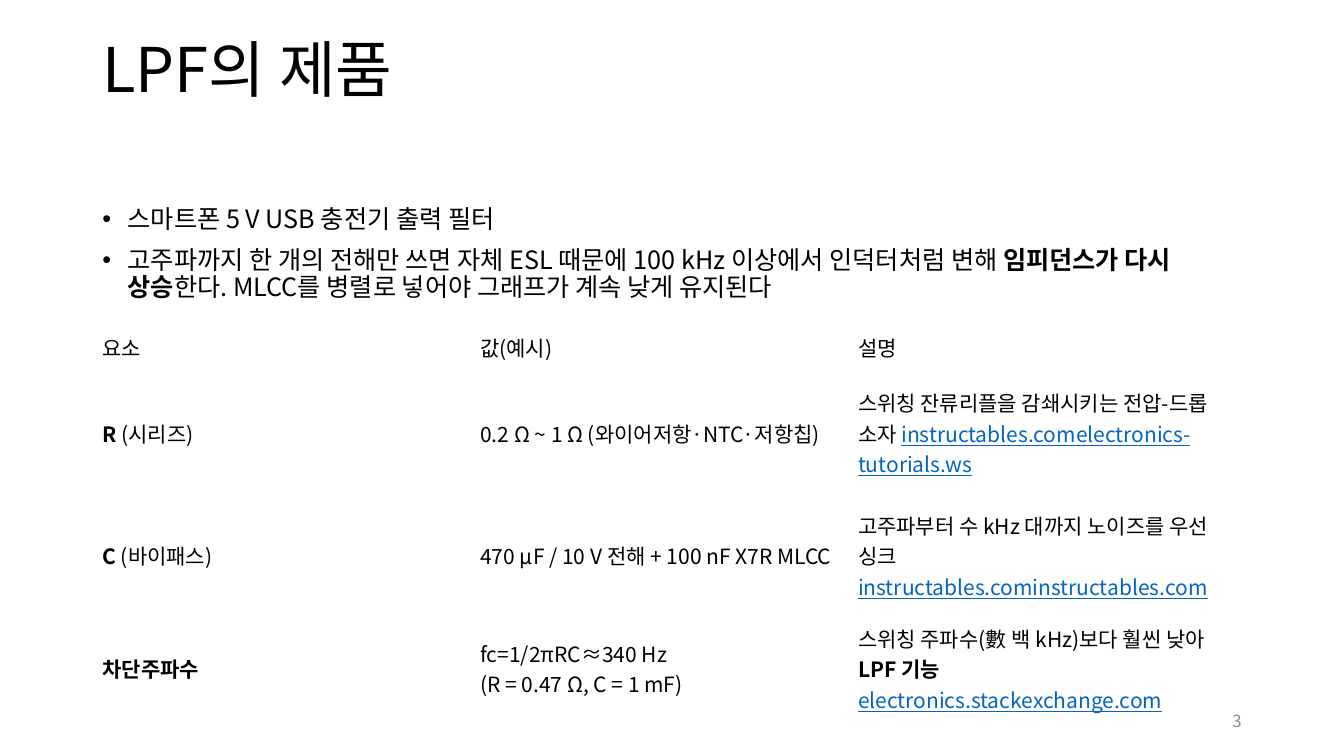
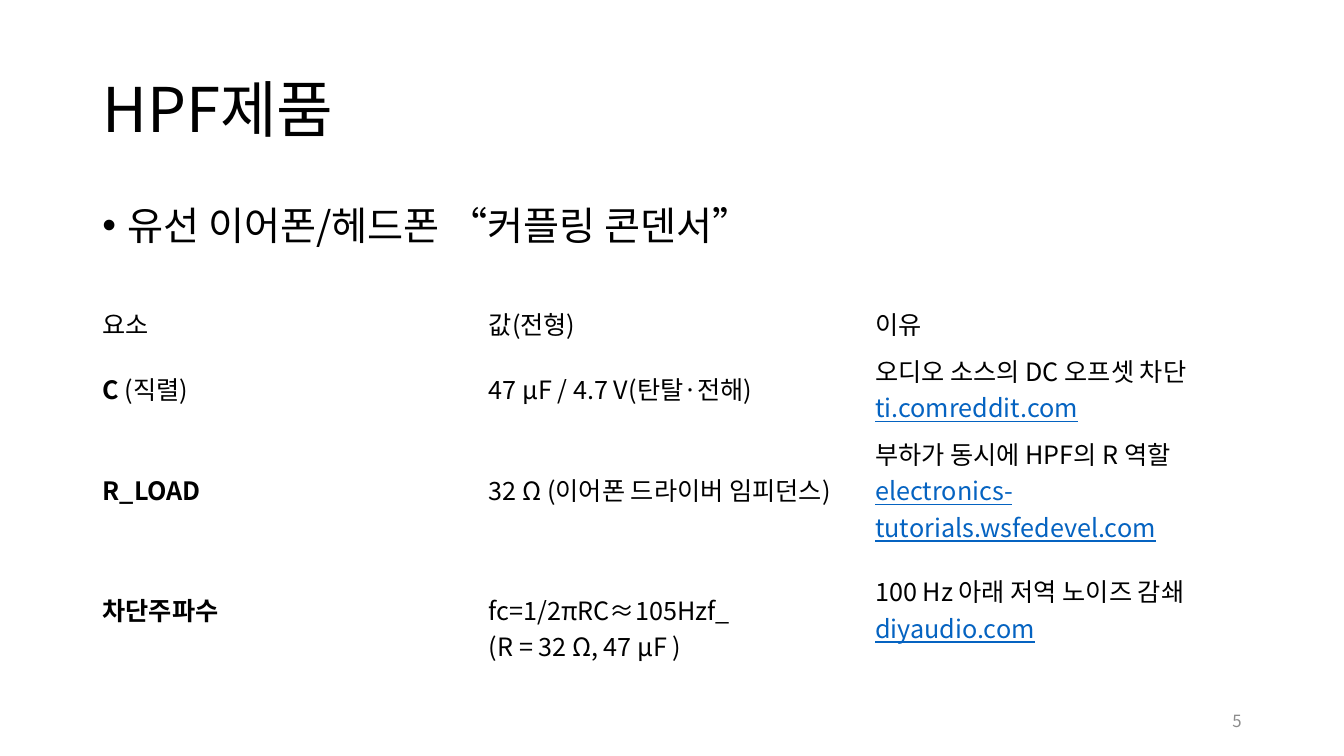
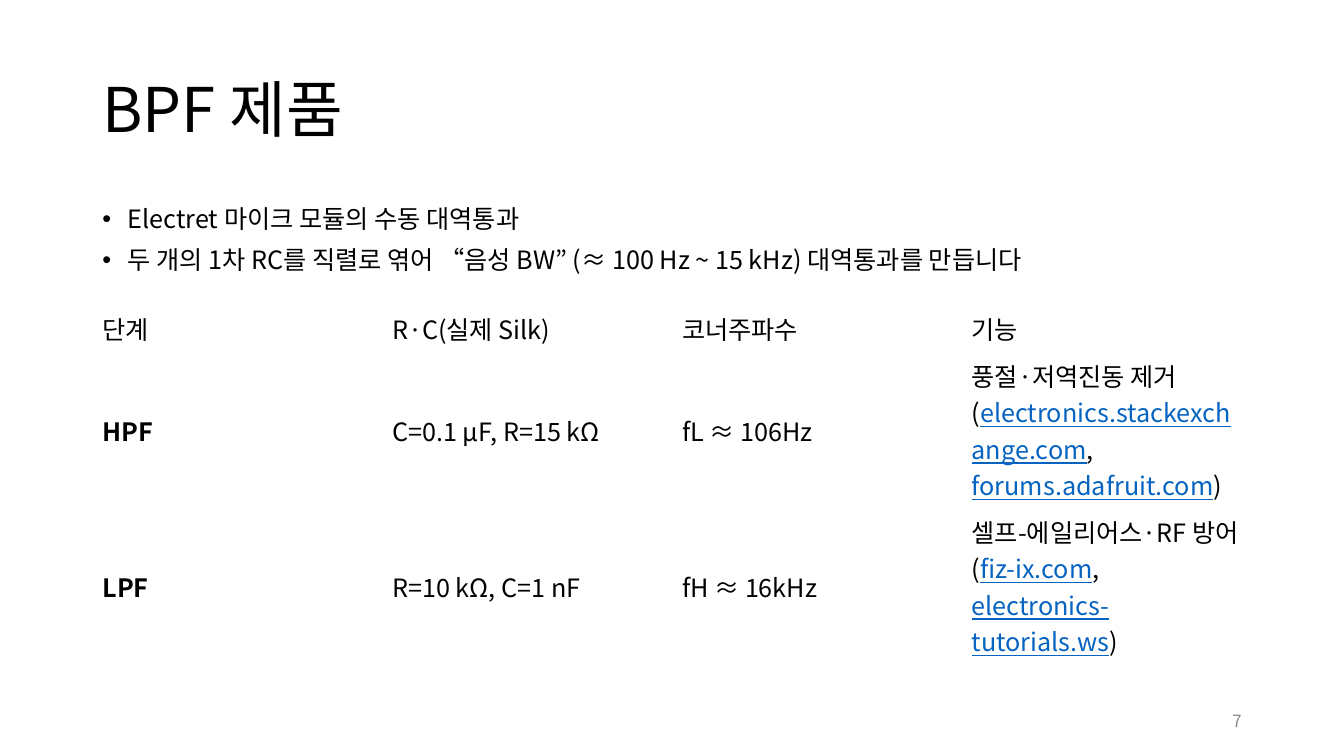
from lxml import etree
from pptx import Presentation
from pptx import util as u
from pptx.dml.color import RGBColor
from pptx.enum import text as t
from pptx.oxml.ns import qn

FONT = "Noto Sans CJK KR"
BLACK = RGBColor(0x00, 0x00, 0x00)
GREY = RGBColor(0x8C, 0x8C, 0x8C)
LINK_BLUE = RGBColor(0x05, 0x63, 0xC1)
PLAIN_TABLE_STYLE = "{2D5ABB26-0587-4C30-8999-92F81FD0307C}"

# Shared frame, in centimetres
LEFT, WIDTH = 2.33, 29.21
TITLE_TOP, TITLE_HEIGHT = 1.01, 3.68
BODY_TOP, BODY_HEIGHT = 5.08, 12.09
NUMBER_BOX = (23.92, 17.65, 7.62, 1.01)
CELL_MARGIN = 0.13


def bold(words):
    return words, "bold"


def link(words):
    return words, "link"


# Content: a string or a tuple of runs is a paragraph, a list holds paragraphs
SLIDES = [
    {
        "number": "3",
        "title": "LPF의 제품",
        "title_bottom_margin": 2.16,
        "bullet_size": 18,
        "bullets": [
            "스마트폰 5 V USB 충전기 출력 필터",
            ("고주파까지 한 개의 전해만 쓰면 자체 ESL 때문에 100 kHz 이상에서 인덕터처럼 변해 ",
             bold("임피던스가 다시 상승"),
             "한다. MLCC를 병렬로 넣어야 그래프가 계속 낮게 유지된다"),
        ],
        "table_top": 8.23,
        "table_width": 28.56,
        "table_size": 15,
        "row_heights": [1.02, 3.32, 2.85, 2.85],
        "rows": [
            ["요소", "값(예시)", "설명"],
            [(bold("R"), " (시리즈)"),
             "0.2 Ω ~ 1 Ω (와이어저항·NTC·저항칩)",
             ("스위칭 잔류리플을 감쇄시키는 전압-드롭 소자 ",
              link("instructables.comelectronics-tutorials.ws"))],
            [(bold("C"), " (바이패스)"),
             "470 µF / 10 V 전해 + 100 nF X7R MLCC",
             ("고주파부터 수 kHz 대까지 노이즈를 우선 싱크 ",
              link("instructables.cominstructables.com"))],
            [(bold("차단주파수"),),
             ["fc=1/2πRC≈340 Hz", "(R = 0.47 Ω, C = 1 mF)"],
             ("스위칭 주파수(數 백 kHz)보다 훨씬 낮아 ", bold("LPF 기능 "),
              link("electronics.stackexchange.com"))],
        ],
    },
    {
        "number": "5",
        "title": "HPF제품",
        "bullet_size": 28,
        "bullets": ["유선 이어폰/헤드폰 “커플링 콘덴서”"],
        "table_top": 7.57,
        "table_width": WIDTH,
        "table_size": 18,
        "row_heights": [1.17, 2.09, 3.01, 3.01],
        "top_margins": {(3, 1): 1.05},
        "rows": [
            ["요소", "값(전형)", "이유"],
            [(bold("C"), " (직렬)"),
             "47 µF / 4.7 V(탄탈·전해)",
             ("오디오 소스의 DC 오프셋 차단 ", link("ti.comreddit.com"))],
            [(bold("R_LOAD"),),
             "32 Ω (이어폰 드라이버 임피던스)",
             ("부하가 동시에 HPF의 R 역할 ",
              link("electronics-tutorials.wsfedevel.com"))],
            [(bold("차단주파수"),),
             ["fc=1/2πRC≈105Hzf_", "(R = 32 Ω, 47 µF )"],
             ("100 Hz 아래 저역 노이즈 감쇄 ", link("diyaudio.com"))],
        ],
    },
    {
        "number": "7",
        "title": "BPF 제품",
        "bullet_size": 18,
        "bullets": [
            "Electret 마이크 모듈의 수동 대역통과",
            "두 개의 1차 RC를 직렬로 엮어 “음성 BW” (≈ 100 Hz ~ 15 kHz) 대역통과를 만듭니다",
        ],
        "table_top": 7.7,
        "table_width": WIDTH,
        "table_size": 18,
        "row_heights": [1.17, 3.93, 3.93],
        "rows": [
            ["단계", "R·C(실제 Silk)", "코너주파수", "기능"],
            [(bold("HPF"),), "C=0.1 µF, R=15 kΩ", "fL ≈ 106Hz",
             ("풍절·저역진동 제거 (", link("electronics.stackexchange.com"),
              ", ", link("forums.adafruit.com"), ")")],
            [(bold("LPF"),), "R=10 kΩ, C=1 nF", "fH ≈ 16kHz",
             ("셀프-에일리어스·RF 방어 (", link("fiz-ix.com"),
              ", ", link("electronics-tutorials.ws"), ")")],
        ],
    },
]


def add_bullet(paragraph):
    properties = paragraph._p.get_or_add_pPr()
    properties.set("marL", str(u.Cm(0.64)))
    properties.set("indent", str(-u.Cm(0.64)))
    etree.SubElement(properties, qn("a:buFont"), typeface="Arial")
    etree.SubElement(properties, qn("a:buChar"), char="•")


def write_text(frame, content, size, color=BLACK, align=t.PP_ALIGN.LEFT,
               line_spacing=None, space_before=0, bullets=False):
    paragraphs = content if isinstance(content, list) else [content]
    for index, runs in enumerate(paragraphs):
        paragraph = frame.paragraphs[0] if index == 0 else frame.add_paragraph()
        if bullets:
            add_bullet(paragraph)
        paragraph.alignment = align
        if line_spacing:
            paragraph.line_spacing = line_spacing
        if index and space_before:
            paragraph.space_before = u.Pt(space_before)
        for item in (runs,) if isinstance(runs, str) else runs:
            words, style = (item, None) if isinstance(item, str) else item
            run = paragraph.add_run()
            run.text = words
            font = run.font
            font.name, font.size = FONT, u.Pt(size)
            font.bold = style == "bold"
            font.underline = style == "link"
            font.color.rgb = LINK_BLUE if style == "link" else color
            etree.SubElement(run._r.get_or_add_rPr(), qn("a:ea"), typeface=FONT)


def add_text(slide, box, content, anchor=t.MSO_ANCHOR.MIDDLE,
             bottom_margin=CELL_MARGIN, **text_format):
    shape = slide.shapes.add_textbox(*map(u.Cm, box))
    frame = shape.text_frame
    frame.word_wrap = True
    frame.vertical_anchor = anchor
    frame.margin_bottom = u.Cm(bottom_margin)
    write_text(frame, content, **text_format)


def add_filter_table(slide, data):
    rows, heights = data["rows"], data["row_heights"]
    column_count = len(rows[0])
    table = slide.shapes.add_table(
        len(rows), column_count, u.Cm(LEFT), u.Cm(data["table_top"]),
        u.Cm(data["table_width"]), u.Cm(sum(heights))).table
    table.first_row = table.horz_banding = False
    table._tbl.tblPr.find(qn("a:tableStyleId")).text = PLAIN_TABLE_STYLE
    for column in table.columns:
        column.width = u.Cm(data["table_width"] / column_count)
    top_margins = data.get("top_margins", {})
    for row_index, row in enumerate(rows):
        table.rows[row_index].height = u.Cm(heights[row_index])
        for column_index, content in enumerate(row):
            cell = table.cell(row_index, column_index)
            cell.fill.background()
            cell.vertical_anchor = t.MSO_ANCHOR.MIDDLE
            cell.margin_top = u.Cm(
                top_margins.get((row_index, column_index), CELL_MARGIN))
            write_text(cell.text_frame, content, data["table_size"])


def build_slide(presentation, data):
    slide = presentation.slides.add_slide(presentation.slide_layouts[6])
    # Title
    add_text(slide, (LEFT, TITLE_TOP, WIDTH, TITLE_HEIGHT), data["title"],
             size=44, line_spacing=0.9,
             bottom_margin=data.get("title_bottom_margin", CELL_MARGIN))
    # Bullets
    add_text(slide, (LEFT, BODY_TOP, WIDTH, BODY_HEIGHT), data["bullets"],
             anchor=t.MSO_ANCHOR.TOP, size=data["bullet_size"],
             line_spacing=0.9, space_before=10, bullets=True)
    # Slide number
    add_text(slide, NUMBER_BOX, data["number"], size=12, color=GREY,
             align=t.PP_ALIGN.RIGHT)
    # Component table
    add_filter_table(slide, data)


def main():
    presentation = Presentation()
    presentation.slide_width = u.Cm(33.87)
    presentation.slide_height = u.Cm(19.05)
    for data in SLIDES:
        build_slide(presentation, data)
    presentation.save("out.pptx")


if __name__ == "__main__":
    main()
